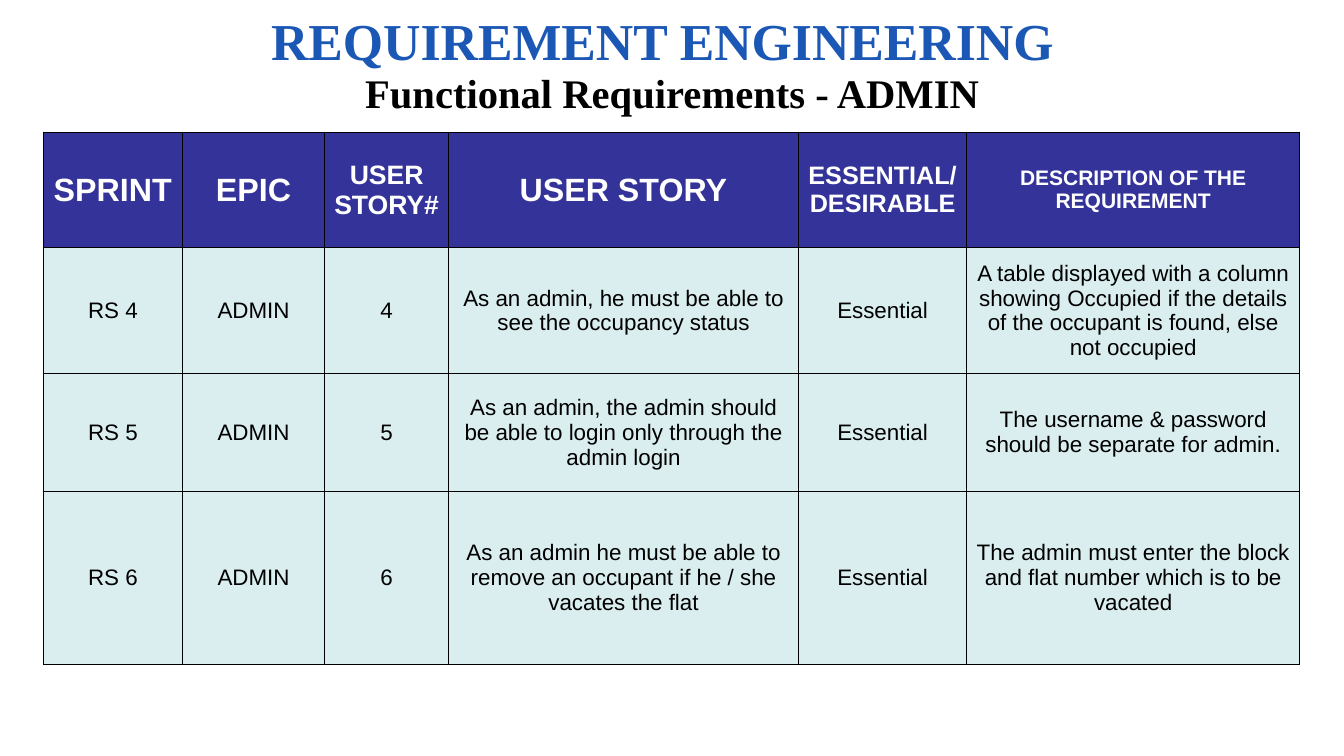
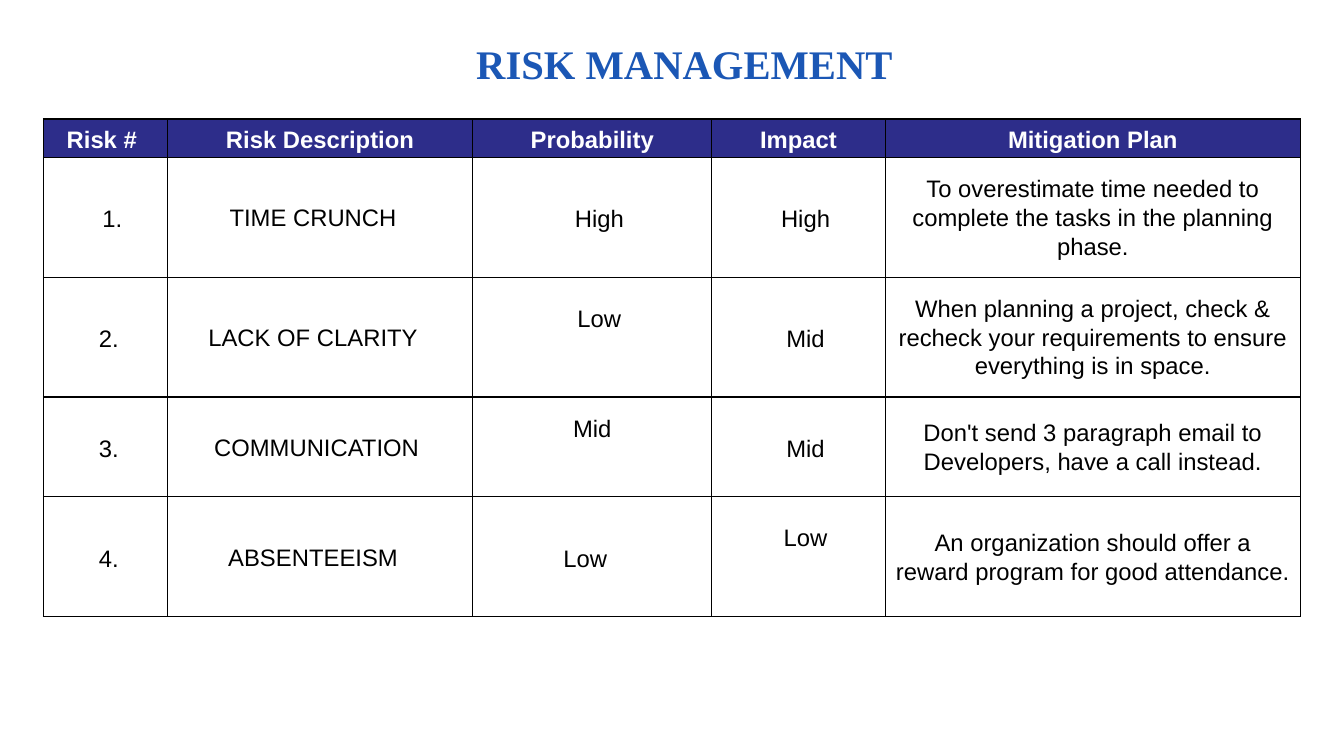
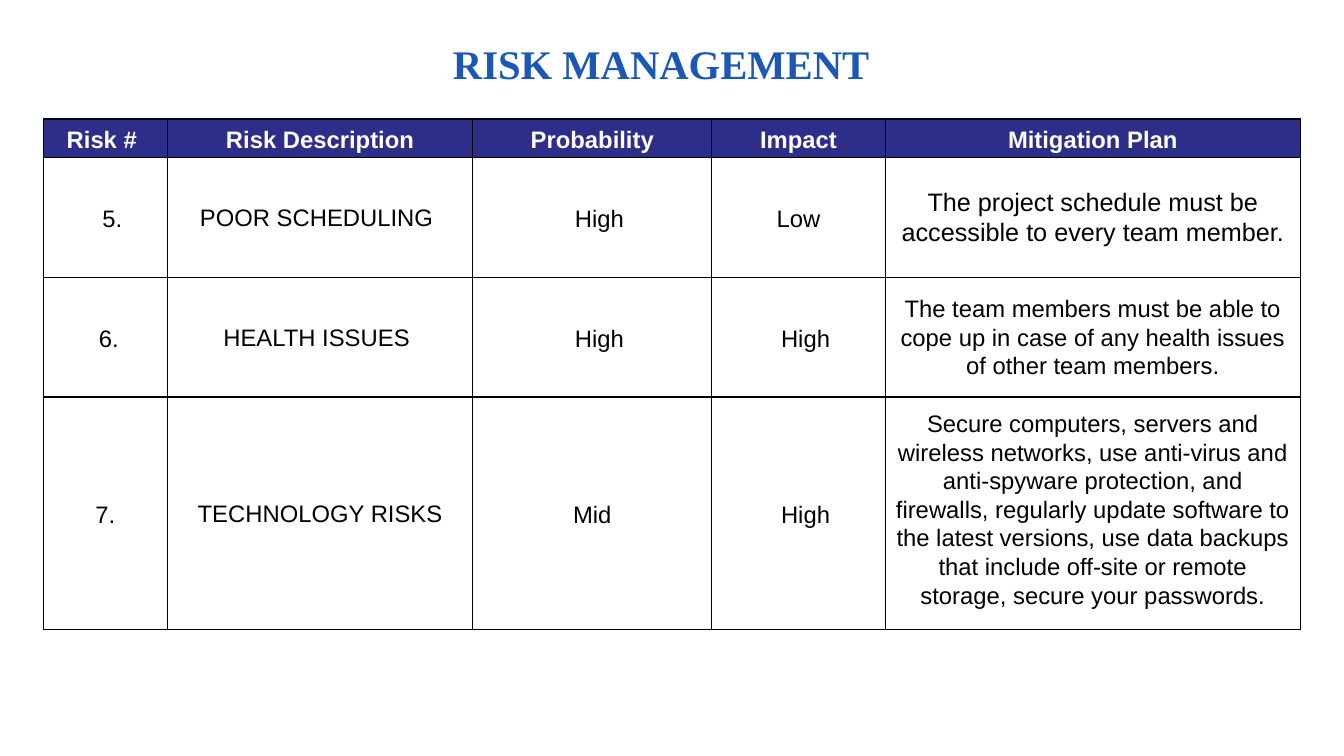
from dataclasses import dataclass

from lxml.etree import SubElement
from pptx import Presentation
from pptx.dml.color import RGBColor
from pptx.enum.text import MSO_ANCHOR, PP_ALIGN
from pptx.oxml.ns import qn
from pptx.util import Inches, Pt

COLORS = {
    "title": "1B57B5",
    "black": "000000",
    "white": "FFFFFF",
    "story_head": "333399",
    "story_body": "DAEDEF",
    "risk_head": "2D2D8A",
}
TITLE_FONT = "Times New Roman"
BODY_FONT = "Arial"
TABLE_LEFT = 0.43
SPACE = 0.07


@dataclass
class Cell:
    text: str
    size: float = 17
    color: str = "black"
    fill: str = "white"
    bold: bool = False
    spacing: float = 1.0
    inset_x: float = 0.03
    inset_y: float = 0
    shift: int = 0
    lift: float = 0


STORY_COLS = [1.38, 1.41, 1.23, 3.47, 1.67, 3.3]
STORY_ROWS = [1.15, 1.19, 1.17, 1.72]
STORY_HEAD = [
    ("SPRINT", 23),
    ("EPIC", 23),
    ("USER STORY#", 19),
    ("USER STORY", 23),
    ("ESSENTIAL/\nDESIRABLE", 18),
    ("DESCRIPTION OF THE REQUIREMENT", 15),
]
STORIES = [
    (4, "As an admin, he must be able to see the occupancy status",
     "A table displayed with a column showing Occupied if the details of the "
     "occupant is found, else not occupied"),
    (5, "As an admin, the admin should be able to login only through the admin login",
     "The username & password should be separate for admin."),
    (6, "As an admin he must be able to remove an occupant if he / she vacates the flat",
     "The admin must enter the block and flat number which is to be vacated"),
]

RISK_COLS = [1.23, 3.03, 2.37, 1.72, 4.12]
RISK_HEAD = [("Risk #", -1), ("Risk Description", 0), ("Probability", 0),
             ("Impact", 0), ("Mitigation Plan", 0)]
RISKS_FIRST = [
    [dict(text="1.", shift=2), dict(text="TIME CRUNCH", shift=-2),
     dict(text="High", shift=2), dict(text="High", shift=2),
     dict(text="To overestimate time needed to complete the tasks in the planning phase.")],
    [dict(text="2.", shift=1), dict(text="LACK OF CLARITY", shift=-2),
     dict(text="Low", shift=2, lift=0.4), dict(text="Mid", shift=2),
     dict(text="When planning a project, check & recheck your requirements "
               "to ensure everything is in space.")],
    [dict(text="3.", shift=1), dict(text="COMMUNICATION", shift=-1),
     dict(text="Mid", lift=0.4), dict(text="Mid", shift=2),
     dict(text="Don't send 3 paragraph email to Developers, have a call instead.")],
    [dict(text="4.", shift=1), dict(text="ABSENTEEISM", shift=-2),
     dict(text="Low", shift=-2), dict(text="Low", shift=2, lift=0.4),
     dict(text="An organization should offer a reward program for good attendance.")],
]
RISKS_SECOND = [
    [dict(text="5.", shift=2), dict(text="POOR SCHEDULING", shift=-1),
     dict(text="High", shift=2), dict(text="Low"),
     dict(text="The project schedule must be accessible to every team member.", size=18)],
    [dict(text="6.", shift=1), dict(text="HEALTH ISSUES", shift=-1),
     dict(text="High", shift=2), dict(text="High", shift=2),
     dict(text="The team members must be able to cope up in case of any health "
               "issues of other team members.")],
    [dict(text="7."), dict(text="TECHNOLOGY RISKS"),
     dict(text="Mid"), dict(text="High", shift=2),
     dict(text="Secure computers, servers and wireless networks, use anti-virus and "
               "anti-spyware protection, and firewalls, regularly update software to "
               "the latest versions, use data backups that include off-site or remote "
               "storage, secure your passwords.", lift=0.08)],
]


def rgb(name):
    return RGBColor.from_string(COLORS[name])


def style_font(font, name, size, color, bold):
    font.name = name
    font.size = Pt(size)
    font.bold = bold
    font.color.rgb = rgb(color)


def add_title(s, box, text, size=29, color="title"):
    tf = s.shapes.add_textbox(*map(Inches, box)).text_frame
    tf.word_wrap = True
    tf.vertical_anchor = MSO_ANCHOR.MIDDLE
    tf.text = text
    p = tf.paragraphs[0]
    p.alignment = PP_ALIGN.CENTER
    style_font(p.runs[0].font, TITLE_FONT, size, color, True)


def set_borders(cell, width):
    tcPr = cell._tc.get_or_add_tcPr()
    for i, side in enumerate(("lnL", "lnR", "lnT", "lnB")):
        ln = tcPr.makeelement(qn(f"a:{side}"), {"w": str(Pt(width))})
        fill = SubElement(ln, qn("a:solidFill"))
        SubElement(fill, qn("a:srgbClr"), val=COLORS["black"])
        tcPr.insert(i, ln)


def fill_cell(cell, data, border):
    cell.fill.solid()
    cell.fill.fore_color.rgb = rgb(data.fill)
    set_borders(cell, border)
    cell.vertical_anchor = MSO_ANCHOR.MIDDLE
    cell.margin_left = Inches(data.inset_x + SPACE * max(data.shift, 0))
    cell.margin_right = Inches(data.inset_x + SPACE * max(-data.shift, 0))
    cell.margin_top = Inches(data.inset_y)
    cell.margin_bottom = Inches(data.inset_y + data.lift)
    cell.text_frame.text = data.text
    for p in cell.text_frame.paragraphs:
        p.alignment = PP_ALIGN.CENTER
        p.line_spacing = data.spacing
        for r in p.runs:
            style_font(r.font, BODY_FONT, data.size, data.color, data.bold)


def add_grid(s, left, top, cols, rows, cells, border):
    table = s.shapes.add_table(
        len(rows), len(cols), Inches(left), Inches(top),
        Inches(sum(cols)), Inches(sum(rows))).table
    table.horz_banding = False
    table.first_row = False
    for column, width in zip(table.columns, cols):
        column.width = Inches(width)
    for row, height, row_cells in zip(table.rows, rows, cells):
        row.height = Inches(height)
        for cell, data in zip(row.cells, row_cells):
            fill_cell(cell, data, border)


def story_slide(s):
    add_title(s, (0.76, 0, 11.62, 0.79), "REQUIREMENT ENGINEERING", size=37)
    add_title(s, (0.86, 0.59, 11.62, 0.66), "Functional Requirements - ADMIN",
              color="black")
    inset = dict(inset_x=0.09, inset_y=0.09)
    cells = [[Cell(text, size, "white", "story_head", True, **inset)
              for text, size in STORY_HEAD]]
    for number, story, description in STORIES:
        texts = (f"RS {number}", "ADMIN", str(number), story, "Essential", description)
        cells.append([Cell(text, 16, fill="story_body", **inset) for text in texts])
    add_grid(s, TABLE_LEFT, 1.31, STORY_COLS, STORY_ROWS, cells, 0.75)


def risk_slide(s, title_left, heights, risks):
    add_title(s, (title_left, 0.25, 12, 0.75), "RISK MANAGEMENT")
    label = dict(spacing=1.15)
    name = dict(spacing=1.07)
    plan = dict(spacing=1.07, inset_x=0.1, inset_y=0.05)
    styles = [label, name, label, label, plan]
    cells = [[Cell(text, color="white", fill="risk_head", bold=True,
                   spacing=1.15, shift=shift) for text, shift in RISK_HEAD]]
    for risk in risks:
        cells.append([Cell(**style, **data) for style, data in zip(styles, risk)])
    add_grid(s, TABLE_LEFT, 1.18, RISK_COLS, [0.38] + heights, cells, 1)


def main():
    prs = Presentation()
    prs.slide_width = Inches(13.33)
    prs.slide_height = Inches(7.5)
    blank = prs.slide_layouts[6]
    story_slide(prs.slides.add_slide(blank))
    risk_slide(prs.slides.add_slide(blank), 0.79, [1.19, 1.19, 0.99, 1.19], RISKS_FIRST)
    risk_slide(prs.slides.add_slide(blank), 0.56, [1.19, 1.19, 2.18], RISKS_SECOND)
    prs.save("out.pptx")


if __name__ == "__main__":
    main()
